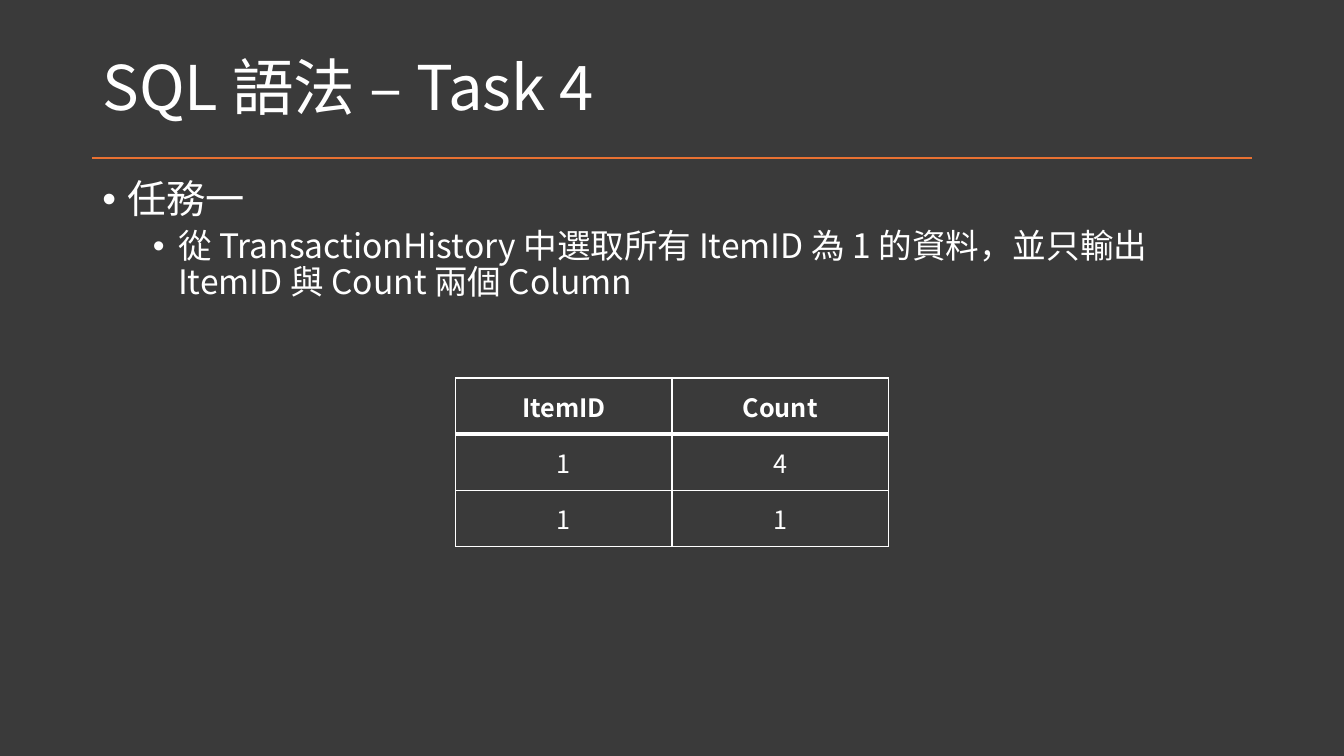
from lxml.etree import SubElement
from pptx import Presentation
from pptx.dml.color import RGBColor
from pptx.enum.shapes import MSO_CONNECTOR as Connector
from pptx.enum.text import MSO_ANCHOR as Anchor, MSO_AUTO_SIZE as AutoSize, PP_ALIGN as Align
from pptx.oxml.ns import qn
from pptx.util import Pt

TITLE = "SQL 語法 – Task 4"
# text, level, size, left indent, space before
BULLETS = [
    ("任務一", 0, 28, 18, 0),
    ("從 TransactionHistory 中選取所有 ItemID 為 1 的資料，並只輸出 ItemID 與 Count 兩個 Column",
     1, 24, 54, 5),
]
ROWS = [("ItemID", "Count"), ("1", "4"), ("1", "1")]

FONT = "Noto Sans CJK TC"
BACKGROUND = RGBColor(0x3A, 0x3A, 0x3A)
WHITE = RGBColor(0xFF, 0xFF, 0xFF)
ORANGE = RGBColor(0xE9, 0x71, 0x32)

SLIDE_W, SLIDE_H = 960, 540
MARGIN = 66
CONTENT_W = SLIDE_W - 2 * MARGIN
RULE_Y = 112.8
HANGING = 18
TABLE_TOP, COL_W, ROW_H = 270, 154.5, 40.1
THIN, THICK = 1, 3


def write(p, text, size, bold=False, align=Align.LEFT, spacing=None, before=0):
    p.alignment = align
    p.space_before = Pt(before)
    if spacing:
        p.line_spacing = spacing
    r = p.add_run()
    r.text = text
    r.font.size = Pt(size)
    r.font.bold = bold
    r.font.name = FONT
    r.font.color.rgb = WHITE
    SubElement(r.font._element, qn("a:ea"), typeface=FONT)


def place(sp, top, height, anchor):
    sp.left, sp.top, sp.width, sp.height = Pt(MARGIN), Pt(top), Pt(CONTENT_W), Pt(height)
    tf = sp.text_frame
    tf.word_wrap = True
    tf.auto_size = AutoSize.NONE
    tf.vertical_anchor = anchor
    return tf


def add_bullet(p, left):
    pPr = p._p.get_or_add_pPr()
    pPr.set("marL", str(Pt(left)))
    pPr.set("indent", str(Pt(-HANGING)))
    SubElement(pPr, qn("a:buFont"), typeface="Arial")
    SubElement(pPr, qn("a:buChar"), char="•")


def set_borders(cell, **widths):
    """Draw white borders; keys are the sides L, R, T, B in that order."""
    tcPr = cell._tc.get_or_add_tcPr()
    for side, width in widths.items():
        ln = SubElement(tcPr, qn(f"a:ln{side}"), w=str(Pt(width)))
        fill = SubElement(ln, qn("a:solidFill"))
        SubElement(fill, qn("a:srgbClr"), val=str(WHITE))


prs = Presentation()
prs.slide_width, prs.slide_height = Pt(SLIDE_W), Pt(SLIDE_H)
s = prs.slides.add_slide(prs.slide_layouts[1])
s.background.fill.solid()
s.background.fill.fore_color.rgb = BACKGROUND

rule = s.shapes.add_connector(
    Connector.STRAIGHT, Pt(MARGIN), Pt(RULE_Y), Pt(MARGIN + CONTENT_W), Pt(RULE_Y))
rule.line.color.rgb = ORANGE
rule.line.width = Pt(1.5)
SubElement(rule._element.spPr, qn("a:effectLst"))

tf = place(s.shapes.title, 28.75, 72, Anchor.MIDDLE)
write(tf.paragraphs[0], TITLE, 44, spacing=0.9)

tf = place(s.placeholders[1], 125, 361, Anchor.TOP)
for i, (text, level, size, left, before) in enumerate(BULLETS):
    p = tf.add_paragraph() if i else tf.paragraphs[0]
    p.level = level
    add_bullet(p, left)
    write(p, text, size, spacing=0.9, before=before)

n_rows, n_cols = len(ROWS), len(ROWS[0])
table_w = n_cols * COL_W
table = s.shapes.add_table(
    n_rows, n_cols, Pt((SLIDE_W - table_w) / 2), Pt(TABLE_TOP),
    Pt(table_w), Pt(n_rows * ROW_H)).table
table.first_row = table.horz_banding = False
for column in table.columns:
    column.width = Pt(COL_W)
for i, values in enumerate(ROWS):
    table.rows[i].height = Pt(ROW_H)
    for j, value in enumerate(values):
        cell = table.cell(i, j)
        set_borders(cell, L=THIN, R=THIN,
                    T=THICK if i == 1 else THIN, B=THICK if i == 0 else THIN)
        cell.fill.background()
        cell.vertical_anchor = Anchor.MIDDLE
        write(cell.text_frame.paragraphs[0], value, 18, bold=i == 0, align=Align.CENTER)

prs.save("out.pptx")
